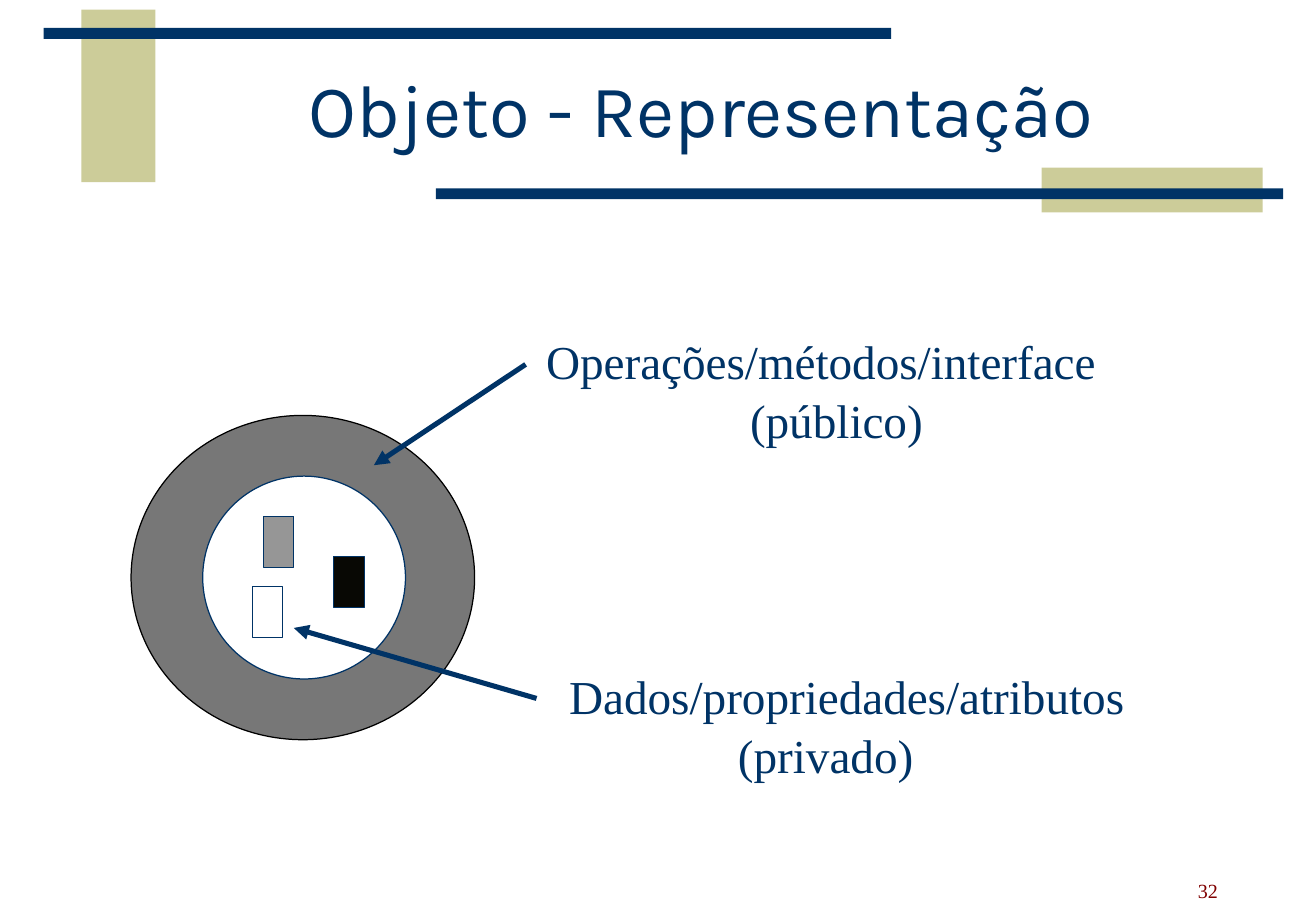
"""Build the slide that shows an object as a ring of operations around its data."""
from lxml import etree
from pptx import Presentation
from pptx.dml.color import RGBColor
from pptx.enum.shapes import MSO_CONNECTOR, MSO_SHAPE
from pptx.enum.text import MSO_ANCHOR, PP_ALIGN
from pptx.oxml.ns import qn
from pptx.util import Inches, Pt

RECT, OVAL = MSO_SHAPE.RECTANGLE, MSO_SHAPE.OVAL
STRAIGHT = MSO_CONNECTOR.STRAIGHT
LEFT, MID, RIGHT = PP_ALIGN.LEFT, PP_ALIGN.CENTER, PP_ALIGN.RIGHT
TOP, CENTER, BOTTOM = MSO_ANCHOR.TOP, MSO_ANCHOR.MIDDLE, MSO_ANCHOR.BOTTOM

THEME = {
    "navy": "003366", "sand": "CCCC99", "red": "800000", "ring": "777777",
    "gray": "969696", "dark": "080804", "white": "FFFFFF", "black": "000000",
    "head": {"name": "Karla", "size": Pt(44)},
    "body": {"name": "Times New Roman", "size": Pt(28)},
    "small": {"name": "Times New Roman", "size": Pt(11.9)},
    "thin": 0.75, "thick": 3,
}

SIZE = (10.84, 7.5)
TITLE = ("Objeto - Representação", (1.23, 0.39, 9.1, 1.11))
NUMBER = ("32", (7.42, 7.17, 2.71, 0.31))
BAR = (6.98, 0.09)
CELL = (0.25, 0.42)
SHAPES = [
    (RECT, (0.67, 0.08, 0.61, 1.42), "sand", None),
    (RECT, (0.36, 0.23, *BAR), "navy", None),
    (RECT, (8.58, 1.38, 1.82, 0.37), "sand", None),
    (RECT, (3.59, 1.55, *BAR), "navy", None),
    (OVAL, (1.08, 3.42, 2.83, 2.67), "ring", "black"),
    (OVAL, (1.67, 3.92, 1.67, 1.67), "white", "navy"),
    (RECT, (2.17, 4.25, *CELL), "gray", "navy"),
    (RECT, (2.75, 4.58, *CELL), "dark", "navy"),
    (RECT, (2.08, 4.83, *CELL), "white", "navy"),
]
ARROWS = [((4.33, 3), (3.08, 3.83)), ((4.42, 5.75), (2.42, 5.17))]
LABELS = [
    ((4.59, 5.42, 4.87, 1.04), [("Dados/propriedades/atributos", 0), ("(privado)", 1.39)]),
    ((4.4, 2.66, 4.73, 1.04), [("Operações/métodos/interface", 0), ("(público)", 1.68)]),
]


def color(name):
    """Return a theme colour."""
    return RGBColor.from_string(THEME[name])


def apply(target, values):
    """Set each attribute in a dict of format values."""
    for key, value in values.items():
        setattr(target, key, value)


def place(box):
    """Turn inches into slide lengths."""
    return [Inches(n) for n in box]


def draw(slide, kind, box, fill, edge):
    """Add a filled shape with an optional outline."""
    shape = slide.shapes.add_shape(kind, *place(box))
    shape.shadow.inherit = False
    shape.fill.solid()
    shape.fill.fore_color.rgb = color(fill)
    if edge:
        shape.line.color.rgb = color(edge)
        shape.line.width = Pt(THEME["thin"])
    else:
        shape.line.fill.background()


def point(slide, start, end):
    """Add an arrow from start to end."""
    arrow = slide.shapes.add_connector(STRAIGHT, *place(start + end))
    arrow.line.color.rgb = color("navy")
    arrow.line.width = Pt(THEME["thick"])
    tip = etree.SubElement(arrow.line._get_or_add_ln(), qn("a:tailEnd"))
    tip.set("type", "triangle")
    etree.SubElement(arrow._element.spPr, qn("a:effectLst"))


def write(shape, lines, font, tint, align, anchor, pitch):
    """Fill a shape with indented lines of text."""
    frame = shape.text_frame
    apply(frame, {"word_wrap": True, "vertical_anchor": anchor})
    frame.text = "\n".join(text for text, _ in lines)
    for para, (_, indent) in zip(frame.paragraphs, lines):
        apply(para, {"alignment": align, "line_spacing": pitch})
        if indent:
            para._p.get_or_add_pPr().set("marL", str(Inches(indent)))
        apply(para.font, THEME[font])
        para.font.color.rgb = color(tint)


def main():
    """Compose and save the slide."""
    deck = Presentation()
    deck.slide_width, deck.slide_height = place(SIZE)
    slide = deck.slides.add_slide(deck.slide_layouts[5])
    for item in SHAPES:
        draw(slide, *item)
    for start, end in ARROWS:
        point(slide, start, end)

    text, box = TITLE
    title = slide.shapes.title
    apply(title, dict(zip(("left", "top", "width", "height"), place(box))))
    write(title, [(text, 0)], "head", "navy", MID, CENTER, 0.85)

    text, box = NUMBER
    number = slide.shapes.add_textbox(*place(box))
    write(number, [(text, 0)], "small", "red", RIGHT, BOTTOM, 0.9)
    for box, lines in LABELS:
        label = slide.shapes.add_textbox(*place(box))
        write(label, lines, "body", "navy", LEFT, TOP, 1.05)
    deck.save("out.pptx")


if __name__ == "__main__":
    main()
